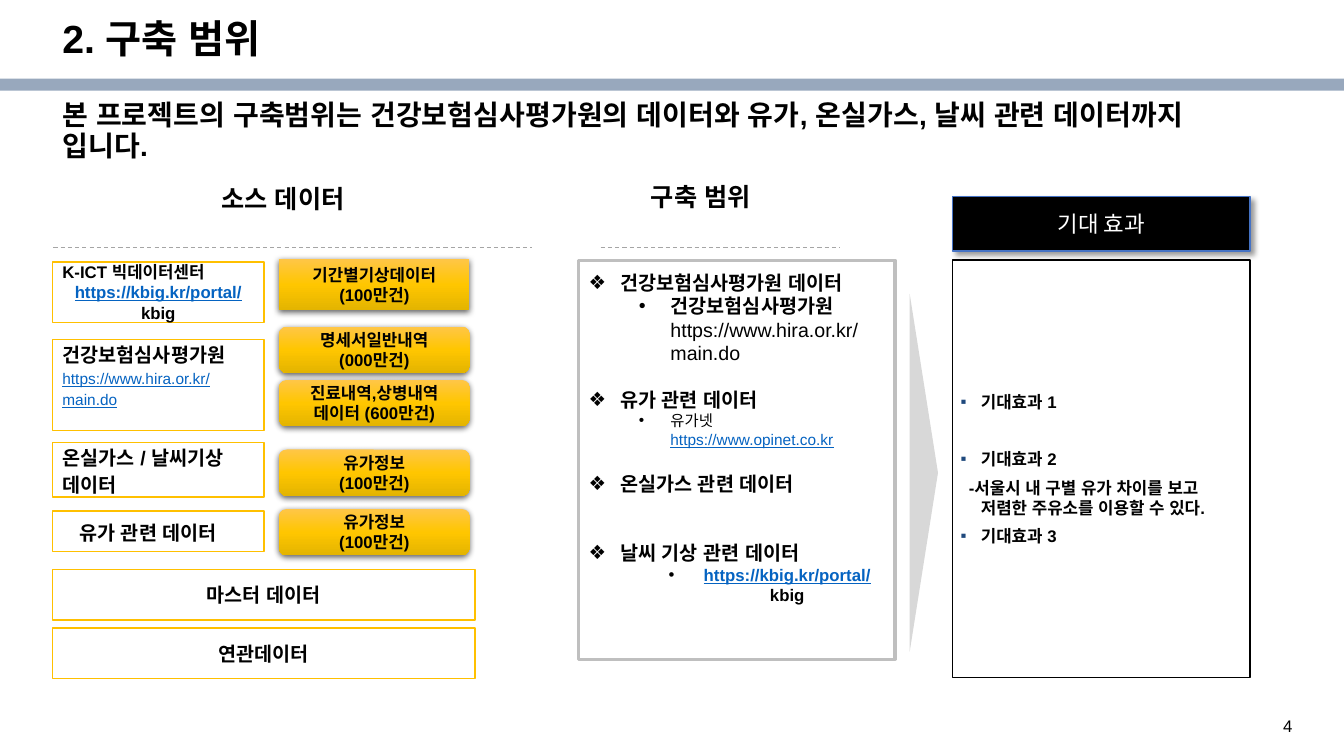
from lxml.etree import SubElement
from pptx import Presentation
from pptx.dml.color import RGBColor
from pptx.enum.dml import MSO_LINE as Dash
from pptx.enum.shapes import MSO_CONNECTOR as Connector, MSO_SHAPE as Geometry
from pptx.enum.text import MSO_ANCHOR as Anchor, PP_ALIGN as Align
from pptx.oxml.ns import qn
from pptx.util import Pt

BLACK = RGBColor(0x00, 0x00, 0x00)
WHITE = RGBColor(0xFF, 0xFF, 0xFF)
BAR = RGBColor(0x98, 0xA8, 0xBD)
AMBER = RGBColor(0xFF, 0xC0, 0x00)
BLUE = RGBColor(0x44, 0x72, 0xC4)
LINK = RGBColor(0x05, 0x63, 0xC1)
NAVY = RGBColor(0x1F, 0x49, 0x7D)
DASH_GRAY = RGBColor(0xA5, 0xA5, 0xA5)
FRAME_GRAY = RGBColor(0xBF, 0xBF, 0xBF)
ARROW_GRAY = RGBColor(0xD8, 0xD8, 0xD8)
GOLD_STOPS = (
    (0, RGBColor(0xFF, 0xC6, 0x47)),
    (50, RGBColor(0xFF, 0xC6, 0x00)),
    (100, RGBColor(0xE3, 0xB4, 0x00)),
)
INSETS = (7.2, 3.6, 7.2, 3.6)


def write(frame, text, size=12, bold=True, color=BLACK, font="Arial", underline=False,
          align=Align.LEFT, spacing=None, before=None, left=0, hang=0,
          bullet=None, bullet_color=BLACK, join=False):
    """Add a paragraph, or with join=True a run in the last paragraph."""
    paragraph = frame.paragraphs[-1]
    if not join:
        if paragraph.runs:
            paragraph = frame.add_paragraph()
        paragraph.alignment = align
        if spacing:
            paragraph.line_spacing = spacing
        if before:
            paragraph.space_before = Pt(before)
        properties = paragraph._p.get_or_add_pPr()
        properties.set("marL", str(Pt(left)))
        properties.set("indent", str(Pt(-hang)))
        if bullet:
            tint = SubElement(properties, qn("a:buClr"))
            SubElement(tint, qn("a:srgbClr"), val=str(bullet_color))
            SubElement(properties, qn("a:buFont"), typeface="Arial")
            SubElement(properties, qn("a:buChar"), char=bullet)
    run = paragraph.add_run()
    run.text = text
    run.font.size = Pt(size)
    run.font.bold = bold
    run.font.underline = underline
    run.font.color.rgb = color
    run.font.name = font
    SubElement(run._r.get_or_add_rPr(), qn("a:ea"), typeface=font)


class ScopeSlide:
    def __init__(self, slide):
        self.shapes = slide.shapes

    def prepare(self, frame, anchor, insets, wrap=True):
        frame.word_wrap = wrap
        frame.vertical_anchor = anchor
        (frame.margin_left, frame.margin_top,
         frame.margin_right, frame.margin_bottom) = map(Pt, insets)
        return frame

    def label(self, left, top, width, height, text, wrap=True, **style):
        box = self.shapes.add_textbox(Pt(left), Pt(top), Pt(width), Pt(height))
        write(self.prepare(box.text_frame, Anchor.TOP, INSETS, wrap), text, **style)

    def shape(self, left, top, width, height, fill=WHITE, line=None, weight=1,
              geometry=Geometry.RECTANGLE, anchor=Anchor.MIDDLE, insets=INSETS):
        shape = self.shapes.add_shape(geometry, Pt(left), Pt(top), Pt(width), Pt(height))
        shape.shadow.inherit = False
        shape.fill.solid()
        shape.fill.fore_color.rgb = fill
        if line is None:
            shape.line.fill.background()
        else:
            shape.line.color.rgb = line
            shape.line.width = Pt(weight)
        self.prepare(shape.text_frame, anchor, insets)
        return shape

    def cast_shadow(self, shape, alpha, blur, distance, angle):
        effects = shape._element.spPr.find(qn("a:effectLst"))
        shadow = SubElement(effects, qn("a:outerShdw"), blurRad=str(Pt(blur)),
                            dist=str(Pt(distance)), dir=str(angle * 60000),
                            algn="ctr", rotWithShape="0")
        tint = SubElement(shadow, qn("a:srgbClr"), val=str(BLACK))
        SubElement(tint, qn("a:alpha"), val=str(alpha * 1000))

    def gold_button(self, top, height, lines, geometry=Geometry.ROUNDED_RECTANGLE):
        button = self.shape(199.4, top, 136, height, geometry=geometry)
        properties = button._element.spPr
        solid = properties.find(qn("a:solidFill"))
        gradient = SubElement(properties, qn("a:gradFill"), rotWithShape="1")
        stops = SubElement(gradient, qn("a:gsLst"))
        for position, color in GOLD_STOPS:
            stop = SubElement(stops, qn("a:gs"), pos=str(position * 1000))
            SubElement(stop, qn("a:srgbClr"), val=str(color))
        SubElement(gradient, qn("a:lin"), ang=str(90 * 60000), scaled="0")
        properties.replace(solid, gradient)
        self.cast_shadow(button, 62, 4.5, 1.5, 90)
        for line in lines:
            write(button.text_frame, line, align=Align.CENTER)

    def source_box(self, top, height, width=151.2, **options):
        return self.shape(37.5, top, width, height, line=AMBER, **options).text_frame

    def dashed_rule(self, start, end, y):
        rule = self.shapes.add_connector(Connector.STRAIGHT, Pt(start), Pt(y), Pt(end), Pt(y))
        rule.line.color.rgb = DASH_GRAY
        rule.line.width = Pt(0.75)
        rule.line.dash_style = Dash.DASH
        SubElement(rule._element.spPr, qn("a:effectLst"))


def add_sources(page):
    page.label(151.2, 127.4, 103.7, 28.8, "소스 데이터", size=18, wrap=False)
    page.dashed_rule(38.2, 380.2, 177.1)

    center = page.source_box(187.2, 43.2)
    write(center, "K-ICT 빅데이터센터")
    write(center, "https://kbig.kr/portal/", color=LINK, underline=True, align=Align.CENTER)
    write(center, "kbig", join=True)

    insurance = page.source_box(242.6, 64.8, anchor=Anchor.TOP, insets=(7.2, 0, 7.2, 0))
    write(insurance, "건강보험심사평가원", size=14, spacing=1.15)
    write(insurance, "https://www.hira.or.kr/main.do", size=11, bold=False,
          color=LINK, underline=True, spacing=1.15)

    climate = page.source_box(316.1, 38.9)
    for line in ("온실가스 / 날씨기상", "데이터"):
        write(climate, line, size=14, spacing=1.15)
    write(page.source_box(365, 28.8), "유가 관련 데이터", size=14, spacing=1.15, left=12)
    for top, text in ((406.8, "마스터 데이터"), (448.6, "연관데이터")):
        write(page.source_box(top, 36, 301.7), text, size=14, align=Align.CENTER)

    page.gold_button(185, 36.7, ("기간별기상데이터", "(100만건)"), Geometry.RECTANGLE)
    for top, lines in (
        (233.3, ("명세서일반내역", "(000만건)")),
        (271.4, ("진료내역,상병내역", "데이터 (600만건)")),
        (321.1, ("유가정보", "(100만건)")),
        (363.6, ("유가정보", "(100만건)")),
    ):
        page.gold_button(top, 33.1, lines)


def add_scope(page):
    page.label(457.9, 126, 86.4, 28.8, "구축 범위", size=18, wrap=False)
    page.dashed_rule(429.1, 599.8, 177.1)
    scope = page.shape(413.3, 185.8, 226, 285.1, line=FRAME_GRAY, weight=2.25,
                       anchor=Anchor.TOP, insets=(7.2, 7.5, 7.2, 3.6)).text_frame
    heading = dict(size=14, left=22.5, hang=22.5, bullet="❖")
    item = dict(left=58.5, hang=22.5, bullet="•")
    write(scope, "건강보험심사평가원 데이터", **heading)
    write(scope, "건강보험심사평가원", size=14, **item)
    write(scope, "https://www.hira.or.kr/main.do", size=14, bold=False, left=58.5)
    write(scope, "유가 관련 데이터", before=16.5, **heading)
    write(scope, "유가넷", size=11, bold=False, **item)
    write(scope, "https://www.opinet.co.kr", size=11, bold=False, color=LINK,
          underline=True, left=58.5)
    write(scope, "온실가스 관련 데이터", before=16.5, **heading)
    write(scope, "날씨 기상 관련 데이터", before=33, **heading)
    write(scope, "https://kbig.kr/portal/", color=LINK, underline=True,
          align=Align.CENTER, left=72, hang=25, bullet="•")
    write(scope, "kbig", join=True)


def add_effects(page):
    arrow = page.shape(532.1, 327.6, 255.6, 20.2, fill=ARROW_GRAY,
                       geometry=Geometry.ISOSCELES_TRIANGLE)
    arrow.rotation = 90
    header = page.shape(680.4, 140.4, 212.4, 38.9, fill=BLACK, line=BLUE)
    page.cast_shadow(header, 40, 4, 3, 45)
    write(header.text_frame, "기대 효과", size=16, bold=False, color=WHITE,
          font="Cabin", align=Align.CENTER)
    effects = page.shape(680.4, 185.8, 212.4, 298.1, line=BLACK,
                         insets=(5.8, 5.8, 5.8, 5.8)).text_frame
    point = dict(left=14.4, hang=14.4, bullet="▪", bullet_color=NAVY)
    write(effects, "기대효과 1", **point)
    write(effects, "기대효과 2", before=26.5, **point)
    write(effects, "-서울시 내 구별 유가 차이를 보고 저렴한 주유소를 이용할 수 있다.",
          before=6, left=14.4, hang=8.6)
    write(effects, "기대효과 3", before=6, **point)


def main():
    deck = Presentation()
    deck.slide_width, deck.slide_height = Pt(960), Pt(540)
    page = ScopeSlide(deck.slides.add_slide(deck.slide_layouts[6]))
    page.shape(0, 56.2, 960, 8.6, fill=BAR)
    page.label(909.4, 507.6, 37.4, 19.4, "4", bold=False)
    page.label(37.5, 10.8, 828, 38.2, "2. 구축 범위", size=28, spacing=0.9)
    page.label(37.5, 69.1, 864.7, 51.1,
               "본 프로젝트의 구축범위는 건강보험심사평가원의 데이터와 유가, 온실가스, "
               "날씨 관련 데이터까지 입니다.", size=20, spacing=0.9)
    add_sources(page)
    add_scope(page)
    add_effects(page)
    deck.save("out.pptx")


if __name__ == "__main__":
    main()
